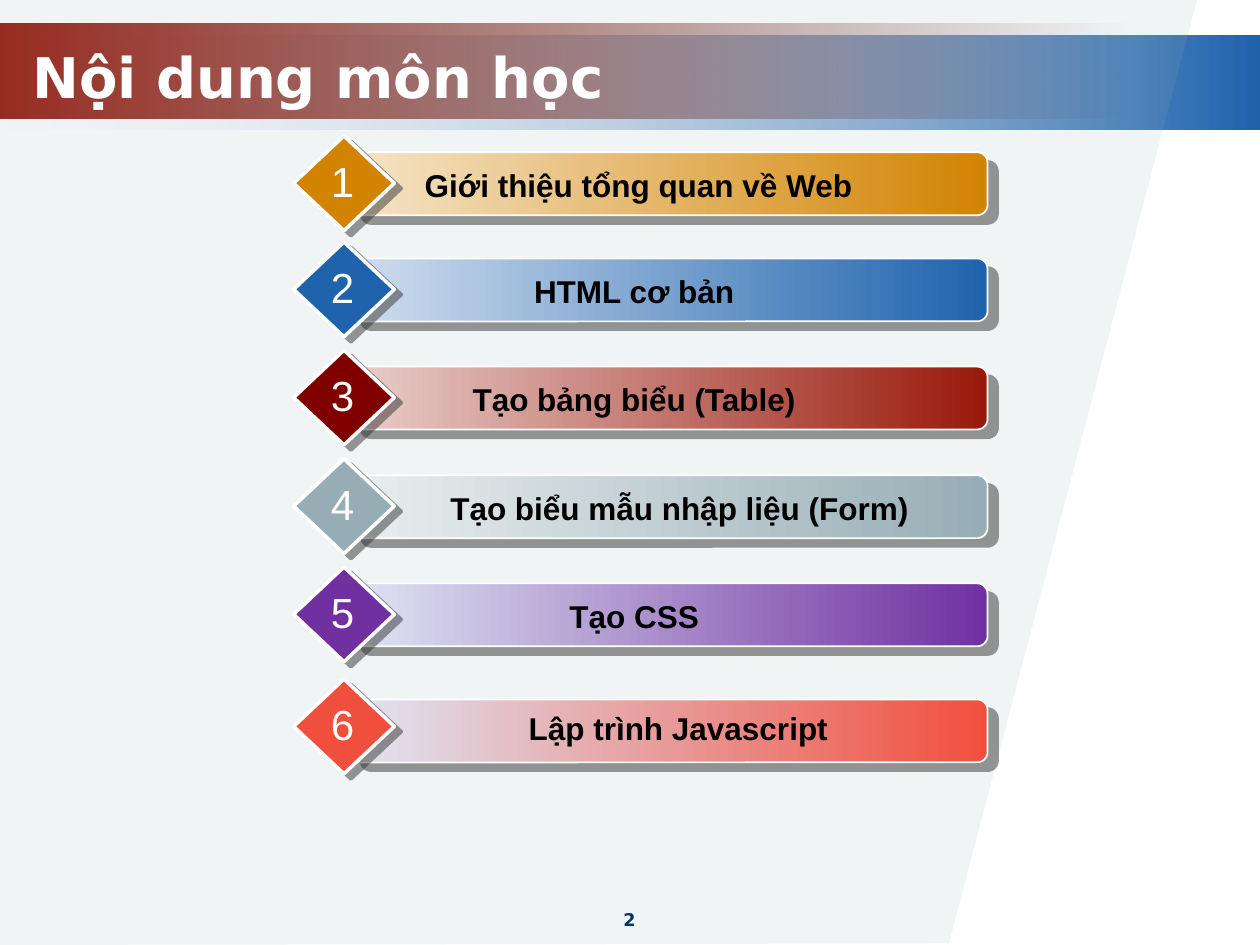
from dataclasses import dataclass

from lxml import etree
from pptx import Presentation
from pptx.dml.color import RGBColor
from pptx.enum.shapes import MSO_SHAPE
from pptx.enum.text import MSO_ANCHOR, MSO_AUTO_SIZE, PP_ALIGN
from pptx.oxml.ns import qn
from pptx.slide import Slide
from pptx.util import Cm, Pt

RECTANGLE = MSO_SHAPE.RECTANGLE
ROUNDED = MSO_SHAPE.ROUNDED_RECTANGLE
DIAMOND = MSO_SHAPE.DIAMOND
MIDDLE = MSO_ANCHOR.MIDDLE
FIT_SHAPE = MSO_AUTO_SIZE.SHAPE_TO_FIT_TEXT
LEFT, CENTER = PP_ALIGN.LEFT, PP_ALIGN.CENTER

WHITE = RGBColor(0xFF, 0xFF, 0xFF)
BLACK = RGBColor(0x00, 0x00, 0x00)
NAVY = RGBColor(0x00, 0x33, 0x66)
ORANGE = RGBColor(0xD2, 0x83, 0x02)
CREAM = RGBColor(0xF5, 0xE5, 0xC9)
BLUE = RGBColor(0x1F, 0x63, 0xAD)
PALE_BLUE = RGBColor(0xD0, 0xDE, 0xEE)
ICE = RGBColor(0xE3, 0xEB, 0xF5)
RED = RGBColor(0x99, 0x19, 0x0B)
DARK_RED = RGBColor(0x47, 0x0C, 0x05)
MAROON = RGBColor(0x80, 0x00, 0x00)
ROSE = RGBColor(0xE9, 0xCE, 0xCB)
GRAY = RGBColor(0x97, 0xAD, 0xB5)
PALE_GRAY = RGBColor(0xE9, 0xEE, 0xEF)
PURPLE = RGBColor(0x70, 0x30, 0xA0)
LAVENDER = RGBColor(0xDF, 0xE5, 0xF3)
CORAL = RGBColor(0xF1, 0x4F, 0x3D)
SHADOW = RGBColor(0x33, 0x33, 0x33)

# text, diamond top, bar drop, label left, label width, diamond, light end, dark end
TOPICS = [
    ("Giới thiệu tổng quan về Web", 2.74, 0.33, 7.81, 10.13, ORANGE, CREAM, ORANGE),
    ("HTML cơ bản", 4.88, 0.33, 7.72, 10.13, BLUE, PALE_BLUE, BLUE),
    ("Tạo bảng biểu (Table)", 7.06, 0.33, 7.72, 10.13, MAROON, ROSE, RED),
    ("Tạo biểu mẫu nhập liệu (Form)", 9.25, 0.33, 7.72, 11.96, GRAY, PALE_GRAY, GRAY),
    ("Tạo CSS", 11.43, 0.33, 7.72, 10.13, PURPLE, LAVENDER, PURPLE),
    ("Lập trình Javascript", 13.69, 0.41, 7.26, 12.83, CORAL, LAVENDER, CORAL),
]


def set_alpha(color, percent):
    etree.SubElement(color, qn("a:alpha"), val=str(percent * 1000))


@dataclass
class SlideBuilder:
    slide: Slide
    body_font: str = "Arial"
    heading_font: str = "DejaVu Sans"

    def add_span(self, frame, text, size, color, font, bold=False, align=LEFT):
        para = frame.paragraphs[0]
        para.alignment = align
        span = para.add_run()
        span.text = text
        span.font.name = font
        span.font.size = Pt(size)
        span.font.bold = bold
        span.font.color.rgb = color

    def shape(self, kind, left, top, width, height, line_width=0):
        shape = self.slide.shapes.add_shape(
            kind, Cm(left), Cm(top), Cm(width), Cm(height))
        shape.shadow.inherit = False
        if line_width:
            shape.line.color.rgb = WHITE
            shape.line.width = Pt(line_width)
        else:
            shape.line.fill.background()
        return shape

    def gradient(self, shape, start, end, clear_stop=None):
        shape.fill.gradient()
        shape.fill.gradient_angle = 0
        for stop, color in zip(shape.fill.gradient_stops, (start, end)):
            stop.color.rgb = color
        if clear_stop is not None:
            colors = list(shape._element.spPr.iter(qn("a:srgbClr")))
            set_alpha(colors[clear_stop], 0)

    def cast_shadow(self, shape, distance, angle):
        effects = shape._element.spPr.find(qn("a:effectLst"))
        outer = etree.SubElement(
            effects, qn("a:outerShdw"), blurRad="0", dist=str(Pt(distance)),
            dir=str(angle * 60000), algn="ctr", rotWithShape="0")
        color = etree.SubElement(outer, qn("a:srgbClr"), val=str(SHADOW))
        set_alpha(color, 50)

    def text_box(self, left, top, width, height, text, size, color,
                 font, bold=False, wrap=True):
        box = self.slide.shapes.add_textbox(
            Cm(left), Cm(top), Cm(width), Cm(height))
        box.text_frame.word_wrap = wrap
        box.text_frame.auto_size = FIT_SHAPE
        self.add_span(box.text_frame, text, size, color, font, bold, CENTER)

    def band(self, top, width, start, end, clear_stop):
        band = self.shape(RECTANGLE, 0, top, width, 1.91)
        self.gradient(band, start, end, clear_stop)

    def slanted_panel(self):
        corners = [(24.13, 0), (19.13, 19.02), (0, 19.05)]
        outline = self.slide.shapes.build_freeform(0, 0)
        outline.add_line_segments([(Cm(x), Cm(y)) for x, y in corners], close=True)
        panel = outline.convert_to_shape()
        panel.shadow.inherit = False
        panel.line.fill.background()
        panel.fill.solid()
        panel.fill.fore_color.rgb = GRAY
        set_alpha(next(panel._element.spPr.iter(qn("a:srgbClr"))), 13)

    def title(self, text):
        title = self.slide.shapes.title
        title.left, title.top = Cm(0), Cm(0.74)
        title.width, title.height = Cm(25.4), Cm(1.57)
        frame = title.text_frame
        frame.vertical_anchor = MIDDLE
        frame.margin_left = Cm(0.65)
        self.add_span(frame, text, 32, WHITE, self.heading_font, bold=True)
        # Bring the title in front of the bands
        self.slide.shapes._spTree.append(title._element)

    def topic(self, number, text, top, bar_drop, label_left, label_width,
              diamond_color, light, dark):
        bar = self.shape(ROUNDED, 7.06, top + bar_drop, 12.85, 1.27, line_width=1)
        bar.adjustments[0] = 0.167
        self.gradient(bar, light, dark)
        self.cast_shadow(bar, 7.8, 40)

        diamond = self.shape(DIAMOND, 5.92, top, 2.03, 1.91, line_width=2)
        diamond.fill.solid()
        diamond.fill.fore_color.rgb = diamond_color
        self.cast_shadow(diamond, 5, 37)

        self.text_box(label_left, top + 0.48, label_width, 1.02, text, 18,
                      BLACK, self.body_font, bold=True)
        self.text_box(6.42, top + 0.27, 0.97, 1.27, str(number), 24,
                      WHITE, self.body_font, wrap=False)


def main():
    deck = Presentation()
    deck.slide_width, deck.slide_height = Cm(25.4), Cm(19.05)
    page = SlideBuilder(deck.slides.add_slide(deck.slide_layouts[5]))

    # Background
    page.band(0.71, 25.4, ICE, BLUE, clear_stop=0)
    page.band(0.48, 22.86, RED, DARK_RED, clear_stop=1)
    page.slanted_panel()

    # Slide number and title
    page.text_box(9.73, 18.21, 5.92, 0.71, "2", 10, NAVY, page.heading_font, bold=True)
    page.title("Nội dung môn học")

    # Course topics
    for number, topic in enumerate(TOPICS, start=1):
        page.topic(number, *topic)

    deck.save("out.pptx")


if __name__ == "__main__":
    main()
